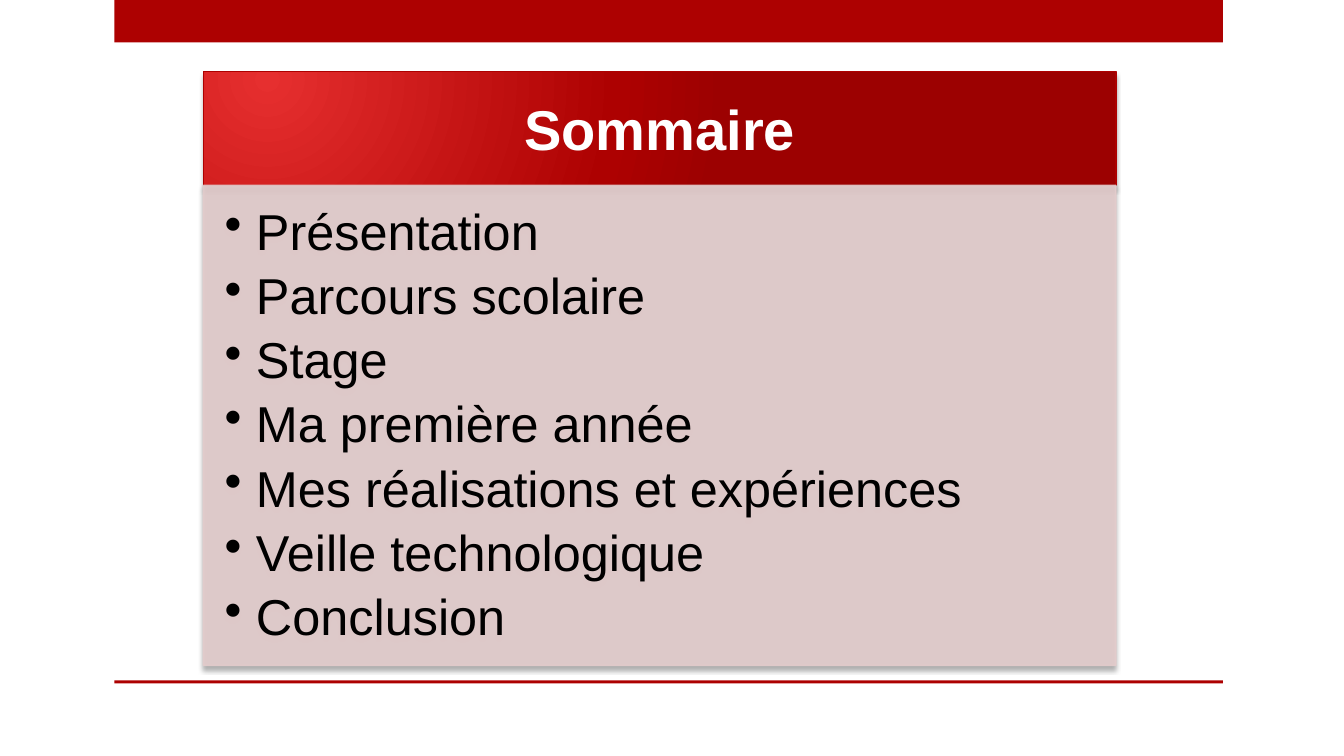
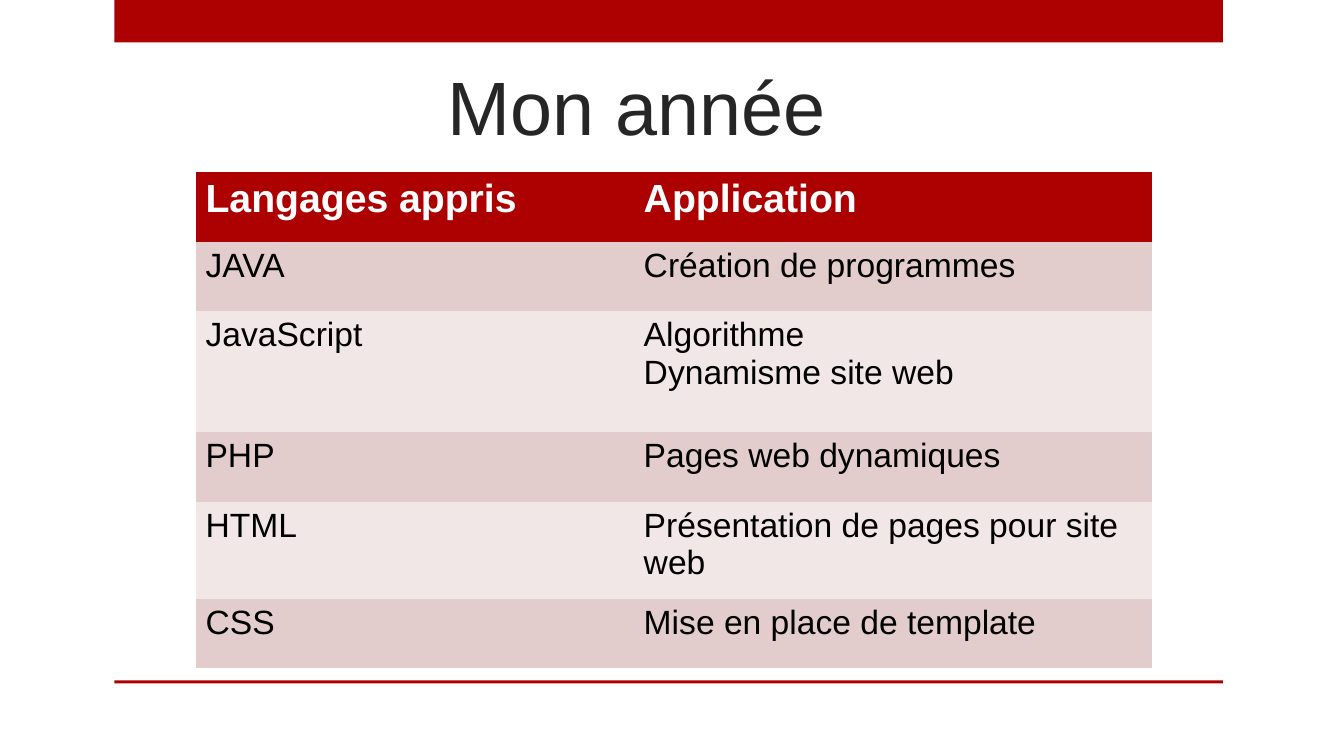
from lxml import etree
from pptx import Presentation
from pptx.dml.color import RGBColor
from pptx.enum.shapes import MSO_SHAPE
from pptx.enum.text import MSO_ANCHOR, PP_ALIGN
from pptx.oxml import parse_xml
from pptx.oxml.ns import qn
from pptx.util import Inches, Pt

RECT = MSO_SHAPE.RECTANGLE
TOP, MIDDLE, BOTTOM = MSO_ANCHOR.TOP, MSO_ANCHOR.MIDDLE, MSO_ANCHOR.BOTTOM
LEFT, CENTER = PP_ALIGN.LEFT, PP_ALIGN.CENTER
WIDE, HIGH = Inches(13.333), Inches(7.5)
FONT = "Arial"
RED, PINK, PALE = "AD0101", "E3CCCC", "F1E7E7"
WHITE, BLACK, INK = "FFFFFF", "000000", "262626"
SPACE = 'xmlns:a="http://schemas.openxmlformats.org/drawingml/2006/main"'
PLAIN = "{2D5ABB26-0587-4C30-8999-92F81FD0307C}"

TOPICS = ["Présentation", "Parcours scolaire", "Stage", "Ma première année",
          "Mes réalisations et expériences", "Veille technologique", "Conclusion"]
SKILLS = [
    (9.2, "Langages appris", "Application"),
    (9.2, "JAVA", "Création de programmes"),
    (16, "JavaScript", "Algorithme\nDynamisme site web"),
    (9.2, "PHP", "Pages web dynamiques"),
    (12.8, "HTML", "Présentation de pages pour site web"),
    (9.2, "CSS", "Mise en place de template"),
]


def color(code):
    """Turn a hex string into a colour."""
    return RGBColor.from_string(code)


def across(share):
    """Give a percentage of the slide width."""
    return round(WIDE * share / 100)


def down(share):
    """Give a percentage of the slide height."""
    return round(HIGH * share / 100)


def place(x, y, w, h):
    """Give a box from percentages of the slide."""
    return across(x), down(y), across(w), down(h)


def block(slide, box, fill):
    """Add a flat rectangle without outline."""
    shape = slide.shapes.add_shape(RECT, *place(*box))
    shape.shadow.inherit = False
    shape.fill.solid()
    shape.fill.fore_color.rgb = color(fill)
    shape.line.fill.background()
    return shape


def panel(slide, box, fill):
    """Add a rectangle with an outline and a soft shadow."""
    shape = block(slide, box, fill)
    shape.line.color.rgb = color(fill)
    shape.line.width = Pt(1.25)
    shade = parse_xml(
        f'<a:outerShdw {SPACE} blurRad="{Pt(3)}" dist="{Pt(3)}" dir="5400000" '
        'rotWithShape="0"><a:srgbClr val="000000"><a:alpha val="35000"/>'
        '</a:srgbClr></a:outerShdw>')
    shape._element.spPr.find(qn("a:effectLst")).append(shade)
    return shape


def glow(shape, stops):
    """Replace a flat fill by a radial gradient."""
    marks = "".join(f'<a:gs pos="{spot * 1000}"><a:srgbClr val="{code}"/></a:gs>'
                    for spot, code in stops)
    grad = parse_xml(
        f'<a:gradFill {SPACE} rotWithShape="1"><a:gsLst>{marks}</a:gsLst>'
        '<a:path path="circle"><a:fillToRect l="15000" t="15000" r="100000" '
        'b="100000"/></a:path></a:gradFill>')
    props = shape._element.spPr
    props.replace(props.find(qn("a:solidFill")), grad)


def fade(shape, share):
    """Set the opacity of fill and outline in percent."""
    for tint in shape._element.spPr.findall(".//" + qn("a:solidFill")):
        etree.SubElement(tint[0], qn("a:alpha"), val=str(share * 1000))


def frame(shape, anchor, pads):
    """Set anchor and insets, then return the text frame."""
    text = shape.text_frame
    text.word_wrap = True
    text.vertical_anchor = anchor
    (text.margin_left, text.margin_top,
     text.margin_right, text.margin_bottom) = map(Inches, pads)
    return text


def write(text, lines, size, code, bold=False, align=LEFT, bullet=False):
    """Write one paragraph per line."""
    for i, line in enumerate(lines):
        para = text.paragraphs[0] if i == 0 else text.add_paragraph()
        para.alignment = align
        if bullet:
            mark(para)
        run = para.add_run()
        run.text = line
        font = run.font
        font.name, font.size, font.bold = FONT, Pt(size), bold
        font.color.rgb = color(code)


def mark(para):
    """Give a paragraph a hanging bullet and list spacing."""
    para.line_spacing = 0.9
    para.space_after = Pt(7)
    props = para._p.get_or_add_pPr()
    props.set("marL", str(Inches(0.31)))
    props.set("indent", str(-Inches(0.31)))
    etree.SubElement(props, qn("a:buChar"), char="•")


def grid(slide, x, y, cols, rows):
    """Add a table with a red head and banded rows."""
    tall = sum(row[0] for row in rows)
    table = slide.shapes.add_table(len(rows), len(cols),
                                   *place(x, y, sum(cols), tall)).table
    table._tbl.tblPr.find(qn("a:tableStyleId")).text = PLAIN
    for col, share in zip(table.columns, cols):
        col.width = across(share)
    for i, (share, *texts) in enumerate(rows):
        table.rows[i].height = down(share)
        head = i == 0
        fill = RED if head else (PALE, PINK)[i % 2]
        for j, text in enumerate(texts):
            cell = table.cell(i, j)
            cell.fill.solid()
            cell.fill.fore_color.rgb = color(fill)
            write(cell.text_frame, text.split("\n"), 28 if head else 24,
                  WHITE if head else BLACK, head)


def page(deck):
    """Add a blank slide with the two red bands."""
    slide = deck.slides.add_slide(deck.slide_layouts[6])
    for y, h in ((0, 5.6), (90, 0.4)):
        block(slide, (8.5, y, 82.5, h), RED)
    return slide


def agenda(deck):
    """Build the table of contents."""
    slide = page(deck)
    x, y, w, h = 15.15, 9.47, 67.88, 15.07
    head = panel(slide, (x, y, w, h), RED)
    glow(head, [(0, "E62F2F"), (76, RED), (100, "9C0101")])
    write(frame(head, MIDDLE, (0.31, 0.18, 0.31, 0.18)), ["Sommaire"],
          40, WHITE, True, CENTER)
    body = panel(slide, (x, y + h, w, 63.47), PINK)
    fade(body, 90)
    write(frame(body, TOP, (0.21, 0.21, 0.28, 0.32)), TOPICS,
          36, BLACK, bullet=True)


def year(deck):
    """Build the slide on languages learnt."""
    slide = page(deck)
    title = slide.shapes.add_textbox(*place(32.55, 6.4, 30.6, 14.13))
    write(frame(title, BOTTOM, (0.1, 0.05, 0.1, 0.05)), ["Mon année"], 54, INK)
    grid(slide, 14.55, 22.8, (32.6, 38.6), SKILLS)


def main():
    """Build and save the deck."""
    deck = Presentation()
    deck.slide_width, deck.slide_height = WIDE, HIGH
    agenda(deck)
    year(deck)
    deck.save("out.pptx")


if __name__ == "__main__":
    main()
